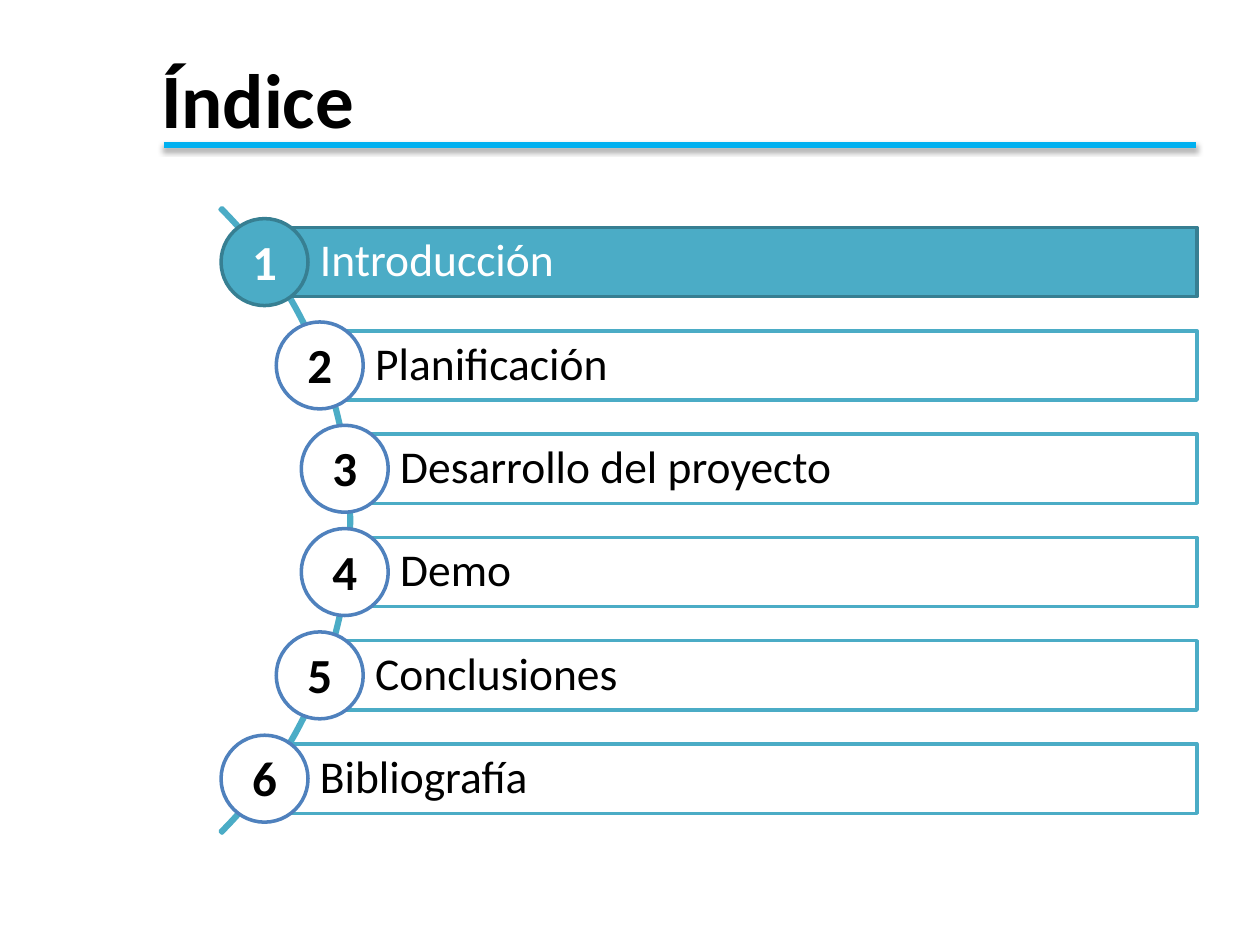
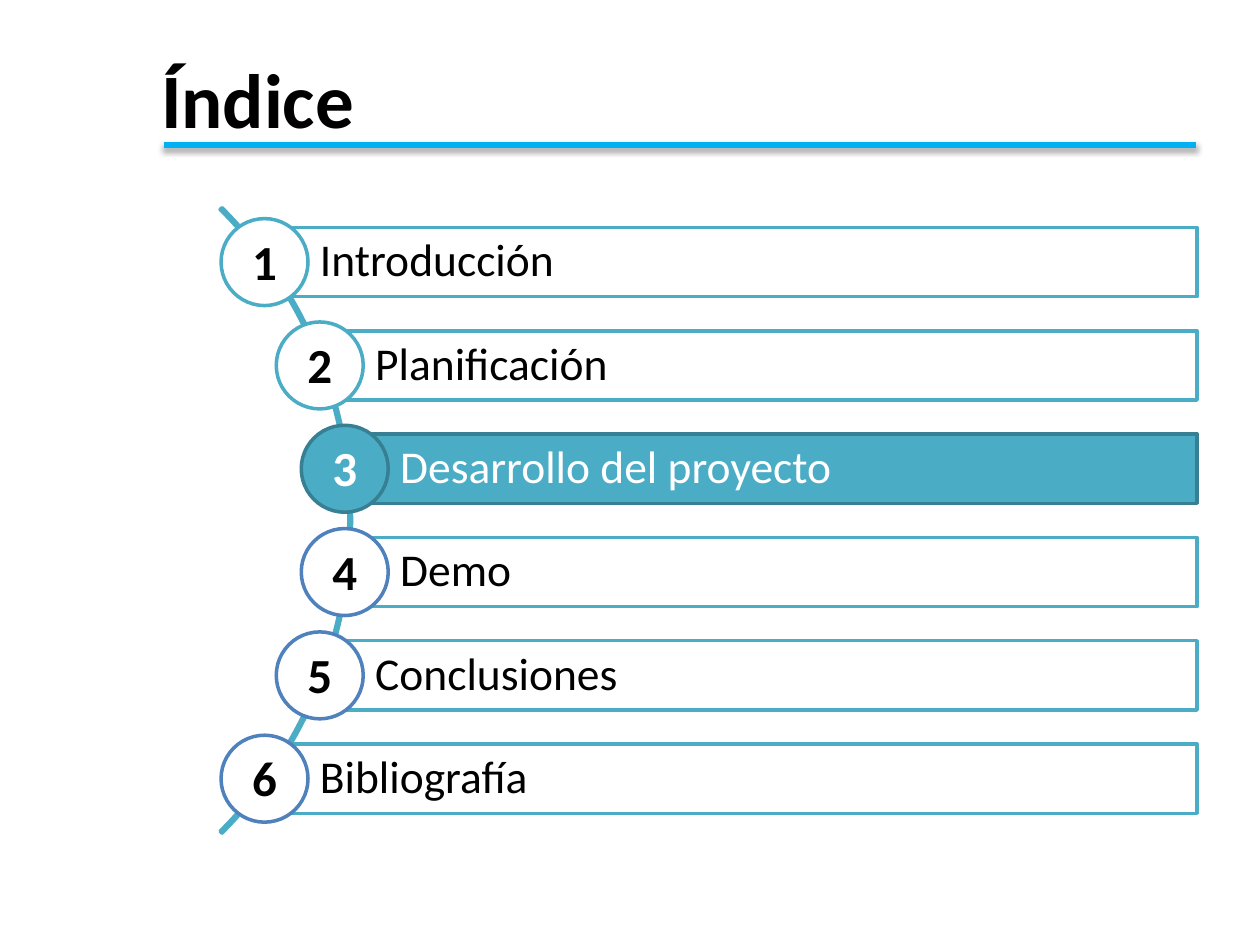
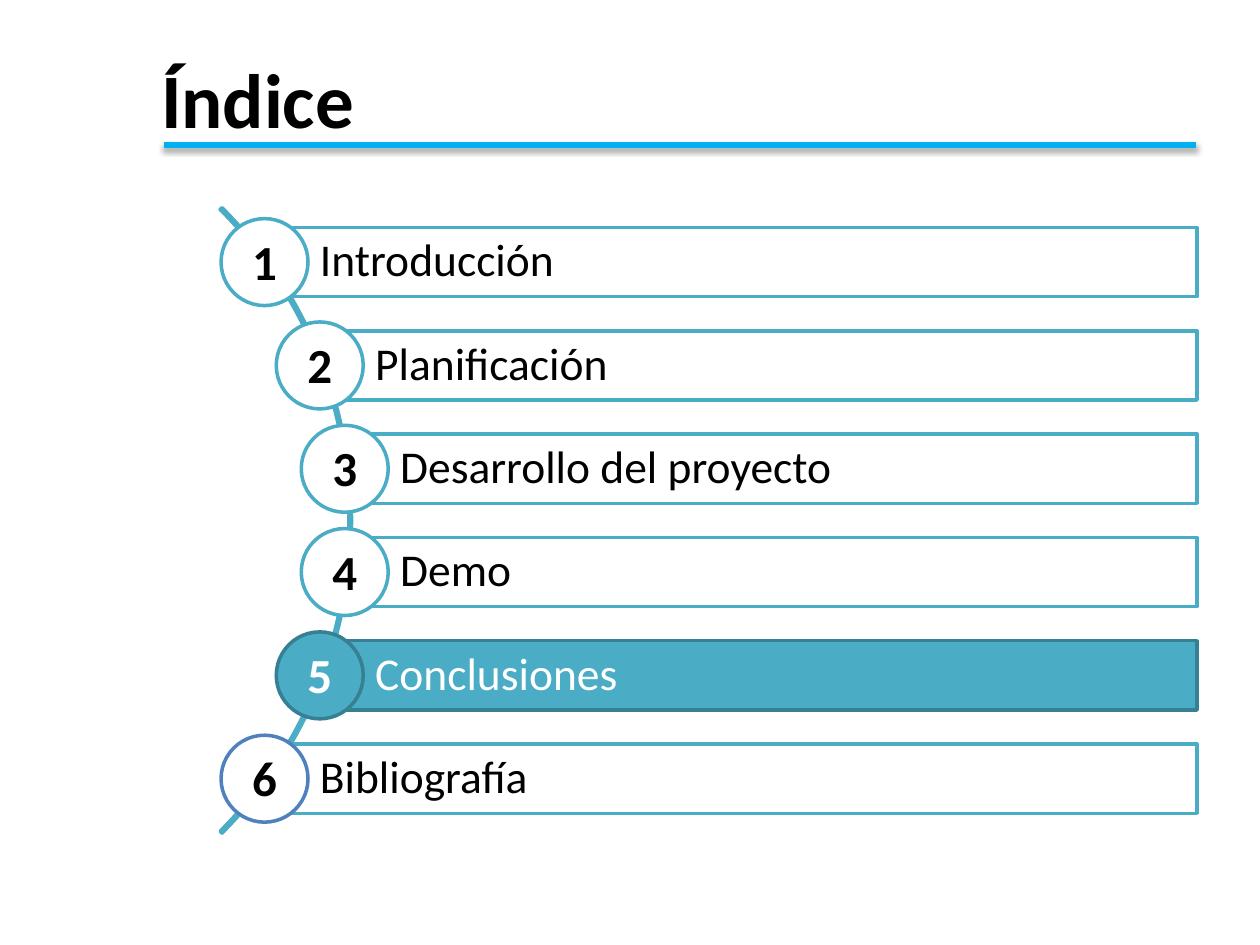
from math import sqrt

from lxml import etree
from pptx import Presentation
from pptx.dml.color import RGBColor
from pptx.enum.shapes import MSO_CONNECTOR, MSO_SHAPE
from pptx.enum.text import MSO_ANCHOR, MSO_AUTO_SIZE, PP_ALIGN
from pptx.oxml import parse_xml
from pptx.oxml.ns import nsdecls
from pptx.util import Inches, Pt

RECTANGLE = MSO_SHAPE.RECTANGLE
OVAL = MSO_SHAPE.OVAL
BLOCK_ARC = MSO_SHAPE.BLOCK_ARC
STRAIGHT = MSO_CONNECTOR.STRAIGHT
MIDDLE = MSO_ANCHOR.MIDDLE
LEFT, CENTER = PP_ALIGN.LEFT, PP_ALIGN.CENTER
FIT_TEXT = MSO_AUTO_SIZE.SHAPE_TO_FIT_TEXT

FONT = "Calibri"
COLORS = {
    "white": "FFFFFF",
    "black": "000000",
    "teal": "4BACC6",
    "dark_teal": "377F92",
    "blue": "4F81BD",
    "rule": "00B0F0",
}
SECTIONS = ["Introducción", "Planificación", "Desarrollo del proyecto",
            "Demo", "Conclusiones", "Bibliografía"]
CURRENT_SECTIONS = [1, 3, 5]

# Index geometry, in inches
ARC_CENTER_X, ARC_CENTER_Y, ARC_RADIUS = -0.72, 4.13, 3.51
ARC_ADJUSTMENTS = (189, 27, 0.003)
BAR_RIGHT, BAR_HEIGHT, BAR_PITCH = 9.5, 0.55, 0.82
BAR_INSET = 0.03
CIRCLE_SIZE = 0.69
NUMBER_WIDTH, NUMBER_HEIGHT, NUMBER_RISE = 0.4, 0.57, 0.02

TITLE_FONT = {"size": Pt(44), "bold": True}
BAR_FONT = {"size": Pt(26)}
NUMBER_FONT = {"size": Pt(28), "bold": True}
BAR_FRAME = {
    "vertical_anchor": MIDDLE,
    "word_wrap": True,
    "margin_left": Inches(0.44),
    "margin_right": Inches(0.07),
    "margin_top": Inches(0.07),
    "margin_bottom": Inches(0.07),
}
NUMBER_FRAME = {"word_wrap": False, "auto_size": FIT_TEXT}


def color(name):
    return RGBColor.from_string(COLORS[name])


def apply_format(target, values):
    for name, value in values.items():
        setattr(target, name, value)


class IndexDeck:
    def __init__(self):
        self.presentation = Presentation()
        self.presentation.slide_width = Inches(10)
        self.presentation.slide_height = Inches(7.5)
        self.slide = None

    def add_slide(self):
        layout = self.presentation.slide_layouts[6]
        self.slide = self.presentation.slides.add_slide(layout)

    def fill_text(self, shape, text, font, ink, frame, paragraph_format):
        apply_format(shape.text_frame, frame)
        paragraph = shape.text_frame.paragraphs[0]
        apply_format(paragraph, paragraph_format)
        run = paragraph.add_run()
        run.text = text
        apply_format(run.font, {"name": FONT, **font})
        run.font.color.rgb = color(ink)

    def text(self, box, text, font, ink="black", frame=None, align=LEFT):
        shape = self.slide.shapes.add_textbox(*map(Inches, box))
        self.fill_text(shape, text, font, ink, frame or {"word_wrap": True},
                       {"alignment": align})

    def shape(self, kind, box, fill="white", line="teal"):
        shape = self.slide.shapes.add_shape(kind, *map(Inches, box))
        shape.shadow.inherit = False
        shape.fill.solid()
        shape.fill.fore_color.rgb = color(fill)
        shape.line.color.rgb = color(line)
        shape.line.width = Pt(2)
        return shape

    def arc(self):
        size = 2 * ARC_RADIUS
        arc = self.shape(BLOCK_ARC, (ARC_CENTER_X - ARC_RADIUS,
                                     ARC_CENTER_Y - ARC_RADIUS, size, size))
        for position, value in enumerate(ARC_ADJUSTMENTS):
            arc.adjustments[position] = value

    def bar(self, box, text, fill, line, ink):
        bar = self.shape(RECTANGLE, box, fill, line)
        self.fill_text(bar, text, BAR_FONT, ink, BAR_FRAME,
                       {"alignment": LEFT, "line_spacing": 0.9})

    def title_rule(self):
        rule = self.slide.shapes.add_connector(
            STRAIGHT, Inches(1.3), Inches(1.15), Inches(9.49), Inches(1.15))
        rule.line.color.rgb = color("rule")
        rule.line.width = Pt(3)
        # Soft shadow below the rule
        effects = parse_xml(f"<a:effectLst {nsdecls('a')}/>")
        shadow = etree.SubElement(
            effects, effects.tag.replace("effectLst", "outerShdw"),
            blurRad=str(Pt(3.1)), dist=str(Pt(1.8)), dir="5400000",
            rotWithShape="0")
        ink = etree.SubElement(shadow, effects.tag.replace("effectLst", "srgbClr"),
                               val=COLORS["black"])
        etree.SubElement(ink, effects.tag.replace("effectLst", "alpha"), val="35000")
        rule.element.spPr.append(effects)

    def section(self, number, name, current):
        # Each section is centred on a point of the arc
        offset = (number - (len(SECTIONS) + 1) / 2) * BAR_PITCH
        middle = ARC_CENTER_Y + offset
        left = ARC_CENTER_X + sqrt(ARC_RADIUS ** 2 - offset ** 2) - BAR_INSET

        if number == current:
            fill, bar_line, circle_line, ink = "teal", "dark_teal", "dark_teal", "white"
        else:
            fill, bar_line, ink = "white", "teal", "black"
            circle_line = "teal" if number < current else "blue"

        self.bar((left, middle - BAR_HEIGHT / 2, BAR_RIGHT - left, BAR_HEIGHT),
                 name, fill, bar_line, ink)
        self.shape(OVAL, (left - CIRCLE_SIZE / 2, middle - CIRCLE_SIZE / 2,
                          CIRCLE_SIZE, CIRCLE_SIZE), fill, circle_line)
        self.text((left - NUMBER_WIDTH / 2, middle - BAR_HEIGHT / 2 - NUMBER_RISE,
                   NUMBER_WIDTH, NUMBER_HEIGHT),
                  str(number), NUMBER_FONT, ink, NUMBER_FRAME, CENTER)

    def index_slide(self, current):
        self.add_slide()
        self.text((1.18, 0.36, 8.83, 0.95), "Índice", TITLE_FONT)
        self.arc()
        for number, name in enumerate(SECTIONS, start=1):
            self.section(number, name, current)
        self.title_rule()


def main():
    deck = IndexDeck()
    for current in CURRENT_SECTIONS:
        deck.index_slide(current)
    deck.presentation.save("out.pptx")


if __name__ == "__main__":
    main()
